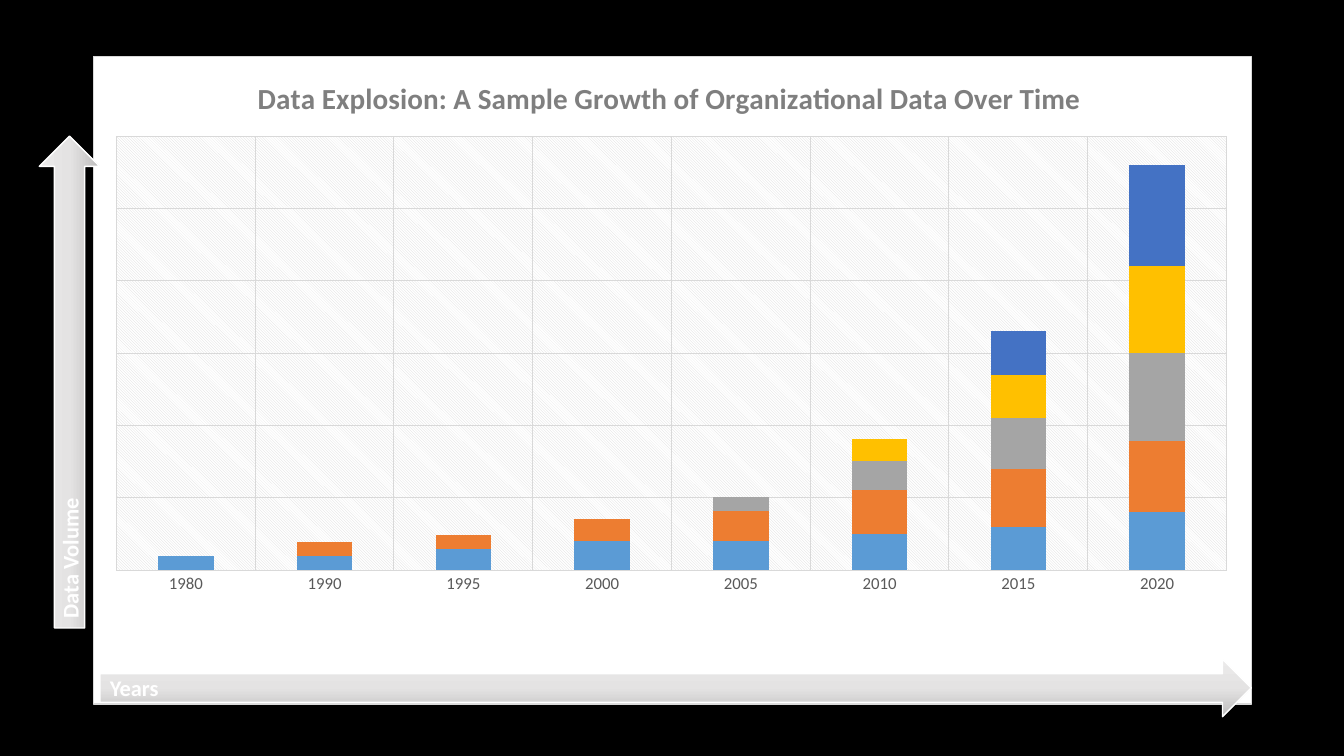
import pptx
import pptx.chart.data
import pptx.dml.color
import pptx.enum.chart
import pptx.enum.shapes
import pptx.enum.text
import pptx.oxml
import pptx.oxml.ns
import pptx.util
from pptx.util import Inches, Pt

RGB = pptx.dml.color.RGBColor
BLACK = RGB(0, 0, 0)
WHITE = RGB(0xFF, 0xFF, 0xFF)
GRID = RGB(0xD9, 0xD9, 0xD9)
LABEL = RGB(0x59, 0x59, 0x59)
TITLE = RGB(0x7F, 0x7F, 0x7F)
FONT = "Calibri"

CHART_TITLE = "Data Explosion: A Sample Growth of Organizational Data Over Time"
CHART_BOX = (0.92, 0.56, 11.5, 6.43)
YEARS = ["1980", "1990", "1995", "2000", "2005", "2010", "2015", "2020"]
SERIES = [
    ([14, 14, 21, 29, 29, 36, 43, 57], RGB(0x5B, 0x9B, 0xD5)),
    ([0, 14, 14, 21, 29, 43, 57, 71], RGB(0xED, 0x7D, 0x31)),
    ([0, 0, 0, 0, 14, 29, 50, 86], RGB(0xA5, 0xA5, 0xA5)),
    ([0, 0, 0, 0, 0, 21, 43, 86], RGB(0xFF, 0xC0, 0)),
    ([0, 0, 0, 0, 0, 0, 43, 100], RGB(0x44, 0x72, 0xC4)),
]
GRID_STEP = 71.4
GRID_ROWS = 6
ARROWS = [
    ("Data Volume", (-1.75, 3.49, 4.88, 0.6), 270),
    ("Years", (0.99, 6.54, 11.42, 0.57), 0),
]
ARROW_STOPS = [(0, "EBEAEA"), (50, "E4E3E3"), (100, "BDBCBC")]
TITLE_OFFSET = (1.58, 0.15)
PLOT_BOX = (0.23, 0.79, 11.02, 4.31)
NS = pptx.oxml.ns.nsdecls("a", "c")


def set_format(target, **values):
    for name, value in values.items():
        setattr(target, name, value)


def set_font(font, size, color, bold=False):
    set_format(font, name=FONT, size=Pt(size), bold=bold)
    font.color.rgb = color


def set_line(line, color, width):
    line.color.rgb = color
    line.width = Pt(width)


def layout_xml(box, inner=False):
    target = '<c:layoutTarget val="inner"/>' if inner else ""
    modes = "".join(f'<c:{k}Mode val="edge"/>' for k in "xy")
    values = "".join(f'<c:{k} val="{length / whole}"/>'
                     for k, length, whole in zip("xywh", box, CHART_BOX[2:] * 2))
    return pptx.oxml.parse_xml(
        f"<c:layout {NS}><c:manualLayout>{target}{modes}{values}</c:manualLayout></c:layout>")


def border_xml():
    return f'<a:ln w="9525"><a:solidFill><a:srgbClr val="{GRID}"/></a:solidFill></a:ln>'


def replace_layout(parent, layout, index):
    for old in parent.findall(pptx.oxml.ns.qn("c:layout")):
        parent.remove(old)
    parent.insert(index, layout)


def style_areas(chart):
    plot_area = chart._chartSpace.chart.plotArea
    replace_layout(plot_area, layout_xml(PLOT_BOX, True), 0)
    plot_area.append(pptx.oxml.parse_xml(
        f'<c:spPr {NS}><a:pattFill prst="ltDnDiag">'
        f'<a:fgClr><a:srgbClr val="{GRID}"/></a:fgClr>'
        f'<a:bgClr><a:srgbClr val="{WHITE}"/></a:bgClr></a:pattFill>'
        f"{border_xml()}</c:spPr>"))
    chart._chartSpace.chart.addnext(pptx.oxml.parse_xml(
        f'<c:spPr {NS}><a:solidFill><a:srgbClr val="{WHITE}"/></a:solidFill>'
        f"{border_xml()}</c:spPr>"))


def add_growth_chart(s):
    data = pptx.chart.data.CategoryChartData()
    data.categories = YEARS
    for values, _ in SERIES:
        data.add_series("", values)
    chart = s.shapes.add_chart(
        pptx.enum.chart.XL_CHART_TYPE.COLUMN_STACKED,
        *map(Inches, CHART_BOX), data).chart
    set_font(chart.font, 10, LABEL)
    chart.has_legend = False

    tf = chart.chart_title.text_frame
    r = tf.paragraphs[0].add_run()
    r.text = CHART_TITLE
    set_font(r.font, 20.8, TITLE, True)
    replace_layout(chart.chart_title._element, layout_xml(TITLE_OFFSET), 1)

    plot = chart.plots[0]
    set_format(plot, overlap=100, gap_width=150, vary_by_categories=False)
    for series, (_, color) in zip(plot.series, SERIES):
        series.format.fill.solid()
        series.format.fill.fore_color.rgb = color

    for axis in (chart.category_axis, chart.value_axis):
        set_format(axis, has_major_gridlines=True,
                   major_tick_mark=pptx.enum.chart.XL_TICK_MARK.NONE)
        set_line(axis.major_gridlines.format.line, GRID, 0.75)
    set_line(chart.category_axis.format.line, GRID, 0.75)
    set_font(chart.category_axis.tick_labels.font, 12, LABEL)
    set_format(chart.value_axis, visible=False, minimum_scale=0,
               maximum_scale=round(GRID_STEP * GRID_ROWS, 1), major_unit=GRID_STEP)
    style_areas(chart)


def add_arrow(s, label, box, rotation):
    sp = s.shapes.add_shape(
        pptx.enum.shapes.MSO_SHAPE.RIGHT_ARROW, *map(Inches, box))
    sp.rotation = rotation
    sp.shadow.inherit = False
    set_line(sp.line, WHITE, 1)
    stops = "".join(f'<a:gs pos="{pos * 1000}"><a:srgbClr val="{color}"/></a:gs>'
                    for pos, color in ARROW_STOPS)
    sp._element.spPr.find(pptx.oxml.ns.qn("a:prstGeom")).addnext(pptx.oxml.parse_xml(
        f'<a:gradFill {NS} rotWithShape="1"><a:gsLst>{stops}</a:gsLst>'
        '<a:lin ang="5400000" scaled="0"/></a:gradFill>'))
    tf = sp.text_frame
    set_format(tf, word_wrap=True,
               vertical_anchor=pptx.enum.text.MSO_ANCHOR.MIDDLE)
    p = tf.paragraphs[0]
    p.alignment = pptx.enum.text.PP_ALIGN.LEFT
    r = p.add_run()
    r.text = label
    set_font(r.font, 16, WHITE, True)


def main():
    prs = pptx.Presentation()
    set_format(prs, slide_width=Inches(13.33), slide_height=Inches(7.5))
    s = prs.slides.add_slide(prs.slide_layouts[6])
    s.background.fill.solid()
    s.background.fill.fore_color.rgb = BLACK
    add_growth_chart(s)
    for arrow in ARROWS:
        add_arrow(s, *arrow)
    prs.save("out.pptx")


if __name__ == "__main__":
    main()
